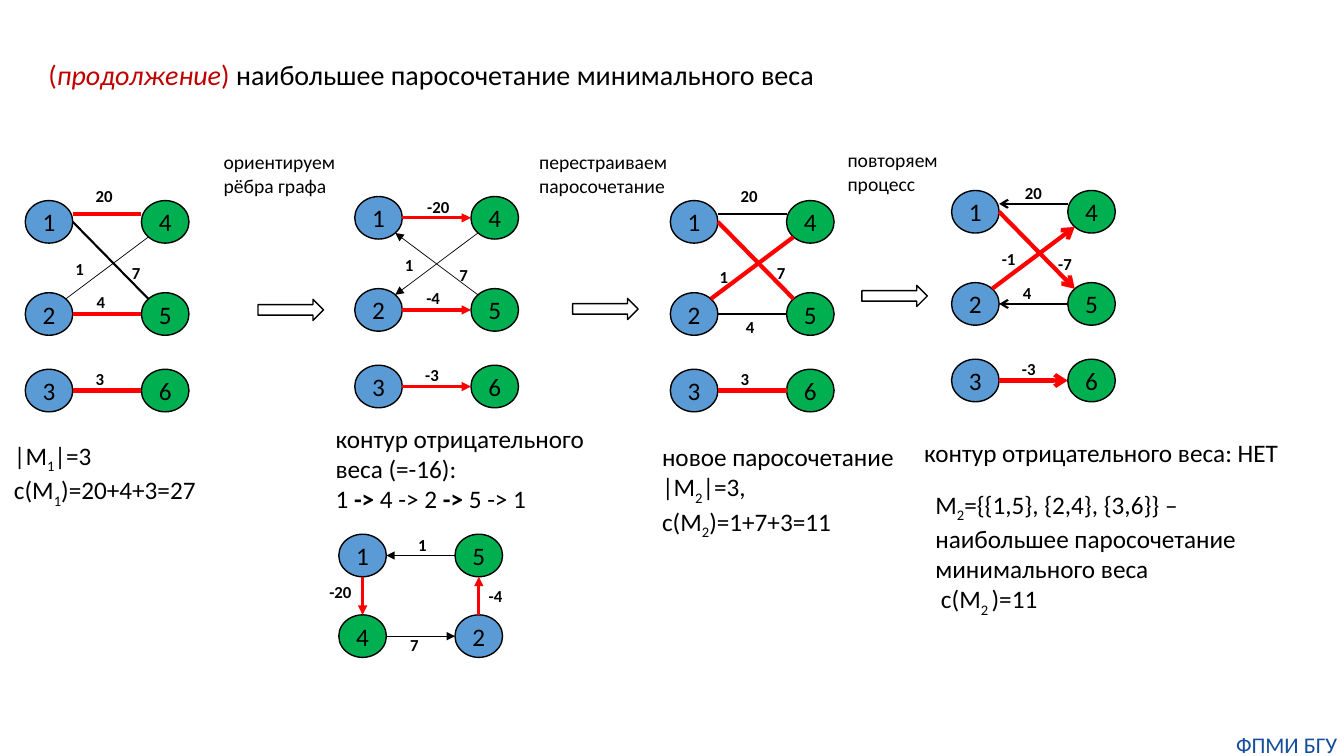
"""Build the slide about a maximum matching of minimum weight."""
from lxml.etree import SubElement
from pptx import Presentation
from pptx.dml.color import RGBColor
from pptx.enum.shapes import MSO_CONNECTOR, MSO_SHAPE
from pptx.enum.text import MSO_ANCHOR, MSO_AUTO_SIZE, PP_ALIGN
from pptx.oxml.ns import qn
from pptx.util import Pt

BLACK, RED, BLUE, GREEN = "000000", "FF0000", "5B9BD5", "00B050"
NODE_W, NODE_H = 34, 30.4
rgb = RGBColor.from_string


def write(tf, lines, size, color=BLACK, bold=False, align=PP_ALIGN.LEFT):
    """Fill a frame; _ encloses subscripts and * encloses bold text."""
    for n, line in enumerate(lines):
        p = tf.paragraphs[0] if n == 0 else tf.add_paragraph()
        p.alignment = align
        for i, part in enumerate(line.split("_")):
            for j, text in enumerate(part.split("*")):
                if not text:
                    continue
                r = p.add_run()
                r.text = text
                style = {"name": "Calibri", "size": Pt(size), "bold": bold or j % 2 == 1}
                for name, value in style.items():
                    setattr(r.font, name, value)
                r.font.color.rgb = rgb(color)
                if i % 2:
                    r.font._element.set("baseline", "-25000")


def add_text(shapes, box, lines, size, wrap=False, **style):
    """Add a text box that grows with its text."""
    tf = shapes.add_textbox(*map(Pt, box)).text_frame
    tf.word_wrap = wrap
    tf.auto_size = MSO_AUTO_SIZE.SHAPE_TO_FIT_TEXT
    write(tf, lines, size, **style)
    return tf


prs = Presentation()
prs.slide_width, prs.slide_height = Pt(960), Pt(540)
s = prs.slides.add_slide(prs.slide_layouts[5])

title = s.shapes.title
for name, value in {"left": 27.4, "top": 40.3, "width": 898.6, "height": 50.4}.items():
    setattr(title, name, Pt(value))
tf = title.text_frame
tf.vertical_anchor = MSO_ANCHOR.TOP
p = tf.paragraphs[0]
p.alignment, p.line_spacing = PP_ALIGN.LEFT, 0.9
for text, color, italic in [
    ("(", "C00000", False),
    ("продолжение", "C00000", True),
    (") ", "C00000", False),
    ("наибольшее паросочетание минимального веса", BLACK, False),
]:
    r = p.add_run()
    r.text = text
    for name, value in {"name": "Calibri", "size": Pt(20), "italic": italic}.items():
        setattr(r.font, name, value)
    r.font.color.rgb = rgb(color)

pairs = {
    label: (83 * (i // 3), (0, 65.8, 120.5)[i % 3])
    for i, label in enumerate("123456")
}
cycle = {"1": (0, 0), "5": (83, 0), "4": (0, 57.6), "2": (83, 57.6)}

top, to_top = (34, 9.5, 83, 9.5), (83, 9.5, 34, 9.5)
middle, to_middle = (34, 81, 83, 81), (83, 81, 34, 81)
bottom = (34, 135.7, 83, 135.7)
down, up = (34, 15.2, 88, 70.2), (29, 70.2, 88, 26)

graphs = [
    ((18, 143.3), pairs, None,
     [(down, BLACK, 1.5), (top, RED, 3), (middle, RED, 3), (bottom, RED, 3),
      (up, BLACK, 0.5)],
     [("20", 43.2, -14.4), ("4", 43.9, 61.9), ("3", 43.2, 116.6),
      ("1", 28.8, 38.1), ("7", 69.1, 41)]),
    ((253.4, 140.4), pairs, "triangle",
     [((34, 15.2, 83, 15.2), RED, 2.25), (middle, RED, 2.25), (bottom, RED, 2.25),
      ((88, 26, 29, 70.2), BLACK, 0.5), ((88, 70.2, 29, 26), BLACK, 0.5)],
     [("-20", 44.7, -3.6), ("-4", 44, 61.9), ("-3", 43.2, 116.6),
      ("1", 28.8, 38.1), ("7", 67.7, 45.4)]),
    ((478.8, 143.3), pairs, None,
     [(down, RED, 3), (top, BLACK, 1.5), (middle, BLACK, 1.5), (bottom, RED, 3),
      (up, RED, 3)],
     [("20", 43.2, -14.4), ("4", 46.8, 79.2), ("3", 43.2, 116.6),
      ("1", 28.1, 43.9), ("7", 69.1, 41)]),
    ((242, 381.6), cycle, "triangle",
     [((17, 30.4, 17, 57.6), RED, 2.25), ((100, 57.6, 100, 30.4), RED, 2.25),
      ((34, 72.8, 83, 72.8), BLACK, 0.5), ((83, 15.2, 34, 15.2), BLACK, 0.5)],
     [("-20", -13.8, 30.2), ("-4", 100, 33.1), ("1", 49.6, -2.9), ("7", 43.8, 68.4)]),
    ((679.7, 136.1), pairs, "arrow",
     [(down, RED, 3), (to_top, BLACK, 1.5), (to_middle, BLACK, 1.5), (bottom, RED, 3),
      (up, RED, 3)],
     [("20", 45.3, -9.4), ("4", 43.9, 62.6), ("-3", 43.2, 116.6),
      ("-1", 28.8, 38.1), ("-7", 69.1, 41.7)]),
]

for (x, y), nodes, arrowhead, edges, weights in graphs:
    shapes = s.shapes.add_group_shape().shapes
    for label, (dx, dy) in nodes.items():
        sp = shapes.add_shape(
            MSO_SHAPE.OVAL, Pt(x + dx), Pt(y + dy), Pt(NODE_W), Pt(NODE_H))
        sp.shadow.inherit = False
        sp.fill.solid()
        sp.fill.fore_color.rgb = rgb(BLUE if label in "123" else GREEN)
        sp.line.color.rgb = rgb(BLACK)
        sp.line.width = Pt(1)
        sp.text_frame.vertical_anchor = MSO_ANCHOR.MIDDLE
        write(sp.text_frame, [label], 18, align=PP_ALIGN.CENTER)
    for (x1, y1, x2, y2), color, width in edges:
        c = shapes.add_connector(
            MSO_CONNECTOR.STRAIGHT, Pt(x + x1), Pt(y + y1), Pt(x + x2), Pt(y + y2))
        c.line.color.rgb = rgb(color)
        c.line.width = Pt(width)
        sp_pr = c._element.spPr
        if arrowhead:
            SubElement(sp_pr.find(qn("a:ln")), qn("a:tailEnd"), type=arrowhead)
        SubElement(sp_pr, qn("a:effectLst"))
    for weight, dx, dy in weights:
        minus = weight.count("-")
        width = 14.5 + 3.7 * minus + 6.1 * (len(weight) - minus)
        add_text(shapes, (x + dx, y + dy, width, 21.6), [weight], 12, bold=True)

for x, y in [(184.3, 213.8), (409, 213.1), (615.6, 203.8)]:
    sp = s.shapes.add_shape(MSO_SHAPE.RIGHT_ARROW, Pt(x), Pt(y), Pt(46.8), Pt(15.1))
    sp.shadow.inherit = False
    sp.fill.background()
    sp.line.color.rgb = rgb(BLACK)
    sp.line.width = Pt(1)

for box, lines, size, wrap in [
    ((2.9, 311, 146.9, 51.1), ["|M_1_|=3", "с(M_1_)=20+4+3=27"], 18, False),
    ((232.6, 298.8, 202.3, 72.7),
     ["контур отрицательного веса (=-16):", "1 *-> *4 -> 2 *-> *5 -> 1"], 18, True),
    ((465.8, 311.8, 183.6, 72.7),
     ["новое паросочетание", "|M_2_|=3,", "с(M_2_)=1+7+3=11"], 18, False),
    ((653, 308.9, 273.6, 28.8), ["контур отрицательного веса: НЕТ"], 18, True),
    ((661, 345.6, 236.2, 94.3),
     ["M_2_={{1,5}, {2,4}, {3,6}} –", "наибольшее паросочетание",
      "минимального веса", " c(M_2 _)=11"], 18, False),
    ((152.6, 103.7, 97.2, 41), ["ориентируем", "рёбра графа"], 14, False),
    ((378, 103.7, 108.7, 41), ["перестраиваем", "паросочетание"], 14, False),
    ((598.3, 102.2, 81.4, 41), ["повторяем", "процесс"], 14, False),
]:
    add_text(s.shapes, box, lines, size, wrap)

tf = add_text(s.shapes, (878.4, 522, 81.4, 19.4), ["ФПМИ БГУ"], 16, True,
              color="144E9D", align=PP_ALIGN.CENTER)
for side in ("left", "top", "right", "bottom"):
    setattr(tf, f"margin_{side}", 0)

prs.save("out.pptx")
